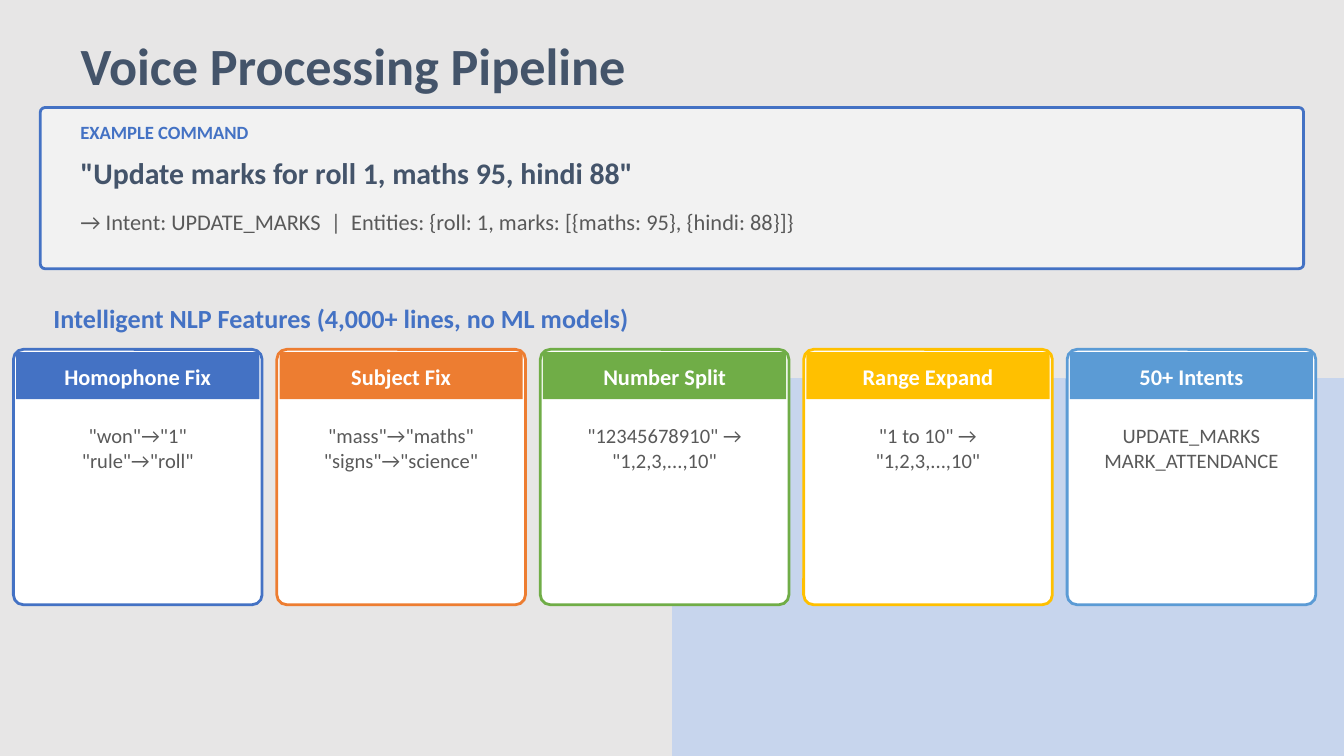
from collections import namedtuple

from lxml import etree
from pptx import Presentation
from pptx import util as u
from pptx.dml.color import RGBColor
from pptx.enum import shapes, text
from pptx.oxml import parse_xml
from pptx.oxml.ns import nsdecls, qn

COLUMNS = 100
ROWS = COLUMNS * 9 / 16
UNIT = u.Inches(0.1)
FONT = "Calibri"

NAVY = RGBColor(0x44, 0x54, 0x6A)
BLUE = RGBColor(0x44, 0x72, 0xC4)
ORANGE = RGBColor(0xED, 0x7D, 0x31)
GREEN = RGBColor(0x70, 0xAD, 0x47)
GOLD = RGBColor(0xFF, 0xC0, 0x00)
SKY = RGBColor(0x5B, 0x9B, 0xD5)
GREY = RGBColor(0x59, 0x59, 0x59)
PALE = RGBColor(0xF2, 0xF2, 0xF2)
WHITE = RGBColor(0xFF, 0xFF, 0xFF)
BACK_GREY = RGBColor(0xE7, 0xE6, 0xE6)
BACK_BLUE = RGBColor(0xC7, 0xD5, 0xED)

FEATURES = [
    ("Homophone Fix", ['"won"→"1"', '"rule"→"roll"'], BLUE),
    ("Subject Fix", ['"mass"→"maths"', '"signs"→"science"'], ORANGE),
    ("Number Split", ['"12345678910" →', '"1,2,3,...,10"'], GREEN),
    ("Range Expand", ['"1 to 10" →', '"1,2,3,...,10"'], GOLD),
    ("50+ Intents", ["UPDATE_MARKS", "MARK_ATTENDANCE"], SKY),
]


class Box(namedtuple("Box", "left top width height")):
    def inside(self, left, top, width, height):
        return Box(self.left + left, self.top + top, width, height)

    def lengths(self):
        return [u.Emu(round(cells * UNIT)) for cells in self]


def write(frame, lines, size, color, bold=False, align=text.PP_ALIGN.LEFT):
    frame.word_wrap = True
    frame.auto_size = text.MSO_AUTO_SIZE.SHAPE_TO_FIT_TEXT
    frame.vertical_anchor = text.MSO_ANCHOR.TOP
    paragraph = frame.paragraphs[0]
    paragraph.alignment = align
    for index, line in enumerate(lines):
        if index:
            paragraph.add_line_break()
        run = paragraph.add_run()
        run.text = line
        run.font.name = FONT
        run.font.size = u.Pt(size)
        run.font.bold = bold
        run.font.color.rgb = color


def add_label(slide, box, lines, size, color, **style):
    label = slide.shapes.add_textbox(*box.lengths())
    write(label.text_frame, lines, size, color, **style)


def add_panel(slide, box, fill, border=None, corner=None):
    preset = shapes.MSO_SHAPE.ROUNDED_RECTANGLE if corner else shapes.MSO_SHAPE.RECTANGLE
    panel = slide.shapes.add_shape(preset, *box.lengths())
    panel.shadow.inherit = False
    panel.fill.solid()
    panel.fill.fore_color.rgb = fill
    if corner:
        panel.adjustments[0] = corner
    if border is None:
        panel.line.fill.background()
    else:
        panel.line.color.rgb = border
        panel.line.width = u.Pt(1.5)


def paint_background(slide):
    slide.background.fill.solid()
    properties = slide.element.find(".//" + qn("p:bgPr"))
    properties.remove(properties.find(qn("a:solidFill")))
    gradient = parse_xml(f'<a:gradFill {nsdecls("a")} rotWithShape="1"/>')
    stops = etree.SubElement(gradient, qn("a:gsLst"))
    for color in (BACK_BLUE, BACK_GREY):
        stop = etree.SubElement(stops, qn("a:gs"), pos="100000")
        etree.SubElement(stop, qn("a:srgbClr"), val=str(color))
    focus = etree.SubElement(gradient, qn("a:path"), path="rect")
    etree.SubElement(focus, qn("a:fillToRect"), l="100000", t="100000")
    properties.insert(0, gradient)


def place_title(slide, box):
    title = slide.shapes.title
    title.left, title.top, title.width, title.height = box.lengths()
    write(title.text_frame, ["Voice Processing Pipeline"], 28, NAVY, bold=True)


def draw_example(slide, box):
    add_panel(slide, box, PALE, BLUE, 0.03)
    add_label(slide, box.inside(2, 0.5, 30, 2.5), ["EXAMPLE COMMAND"], 10, BLUE, bold=True)
    add_label(slide, box.inside(2, 3, 85, 3),
              ['"Update marks for roll 1, maths 95, hindi 88"'], 16, NAVY, bold=True)
    add_label(slide, box.inside(2, 7, 85, 3.5),
              ["→ Intent: UPDATE_MARKS  |  Entities: {roll: 1, marks: [{maths: 95}, {hindi: 88}]}"],
              12, GREY)


def draw_feature(slide, box, heading, examples, color):
    center = text.PP_ALIGN.CENTER
    add_panel(slide, box, WHITE, color, 0.04)
    add_panel(slide, box.inside(0.2, 0.2, box.width - 0.4, 3.5), color)
    add_label(slide, box.inside(0.5, 0.5, box.width - 1, 3), [heading], 12, WHITE,
              bold=True, align=center)
    add_label(slide, box.inside(0.5, 5, box.width - 1, 12), examples, 11, GREY, align=center)


def draw_features(slide, box):
    add_label(slide, box.inside(2, 0, 90, 3),
              ["Intelligent NLP Features (4,000+ lines, no ML models)"], 14, BLUE, bold=True)
    gap = 1.1
    width = (box.width - gap * (len(FEATURES) - 1)) / len(FEATURES)
    for index, feature in enumerate(FEATURES):
        card = box.inside(index * (width + gap), 4, width, box.height - 4)
        draw_feature(slide, card, *feature)


def main():
    deck = Presentation()
    deck.slide_width = u.Emu(COLUMNS * UNIT)
    deck.slide_height = u.Emu(round(ROWS * UNIT))
    slide = deck.slides.add_slide(deck.slide_layouts.get_by_name("Title Only"))
    paint_background(slide)
    place_title(slide, Box(5, 2, 90, 5))
    draw_example(slide, Box(3, 8, 94, 12))
    draw_features(slide, Box(1, 22, 96.9, 23))
    deck.save("out.pptx")


if __name__ == "__main__":
    main()
